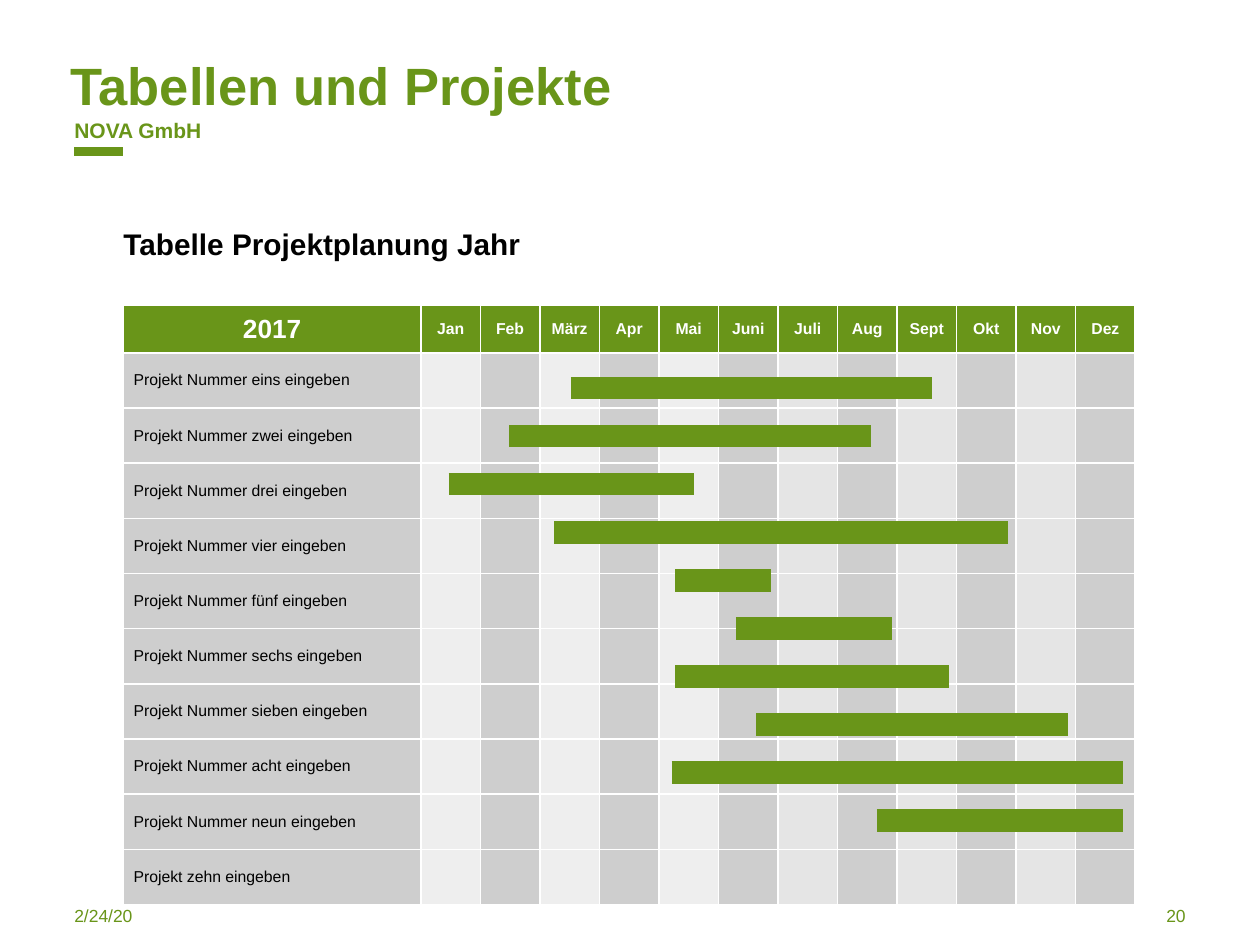
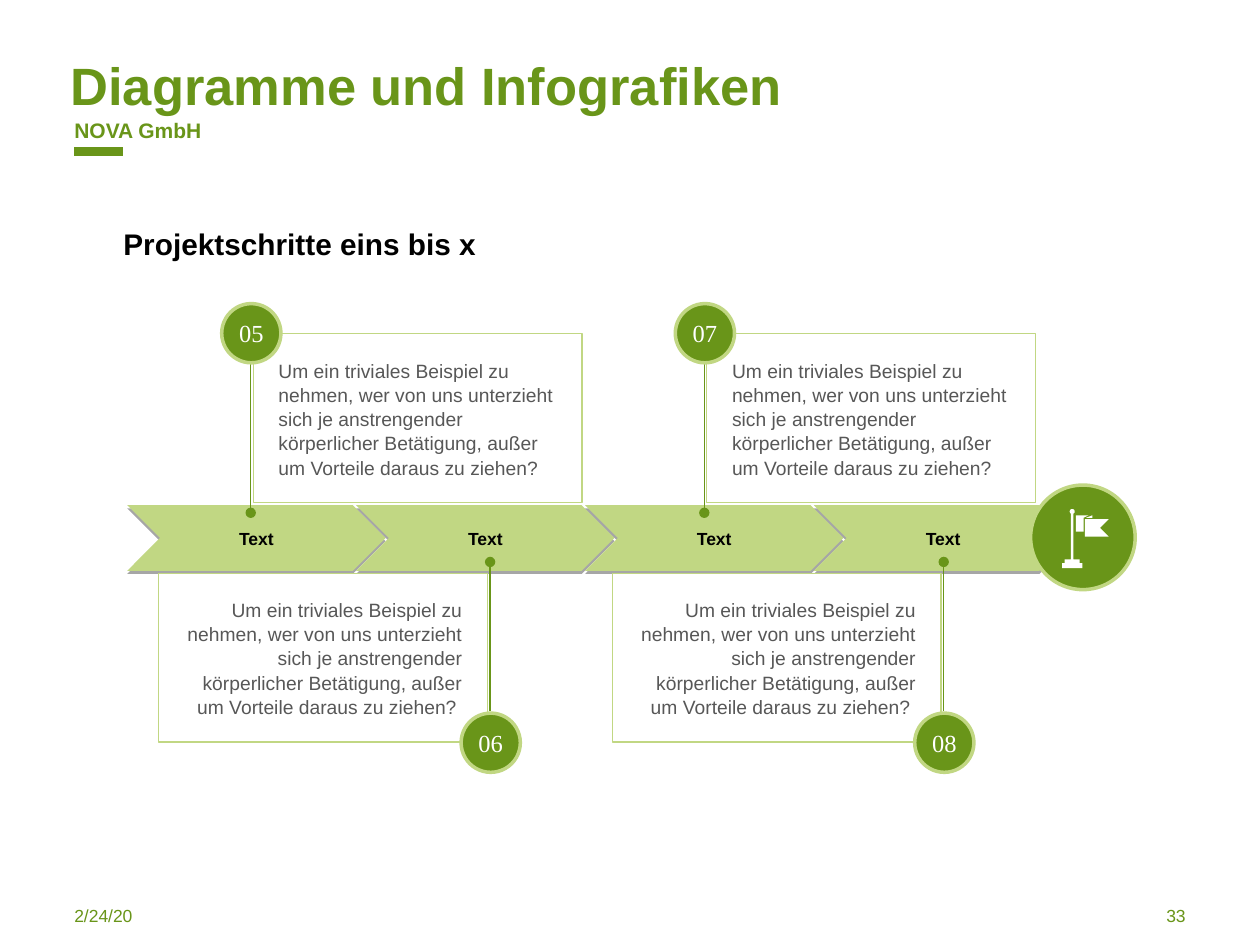
"""Build two project slides: a yearly Gantt table and a step-by-step infographic."""
from dataclasses import dataclass
from math import cos, pi, sin

from lxml.etree import SubElement
from pptx import Presentation
from pptx.dml.color import RGBColor
from pptx.enum.shapes import MSO_CONNECTOR, MSO_SHAPE
from pptx.enum.text import MSO_ANCHOR as Anchor, MSO_AUTO_SIZE, PP_ALIGN as Align
from pptx.oxml.ns import qn
from pptx.util import Inches, Pt


@dataclass(frozen=True)
class Theme:
    green: str = "699519"
    light_green: str = "C1D783"
    white: str = "FFFFFF"
    black: str = "000000"
    body: str = "575757"
    band_dark: str = "CECECE"
    band_light: str = "EEEEEE"
    band_mid: str = "E5E5E5"
    font: str = "Arial"
    number_font: str = "Times New Roman"
    title_size: float = 30
    heading_size: float = 17
    year_size: float = 15
    number_size: float = 14
    brand_size: float = 12
    body_size: float = 11
    small_size: float = 10
    table_size: float = 9


@dataclass(frozen=True)
class Bar:
    start: float
    end: float


@dataclass(frozen=True)
class Step:
    number: str
    x: float
    upper: bool


T = Theme()
MONTHS = "Jan Feb März Apr Mai Juni Juli Aug Sept Okt Nov Dez".split()
PROJECTS = [f"Projekt Nummer {n} eingeben" for n in
            "eins zwei drei vier fünf sechs sieben acht neun".split()] + ["Projekt zehn eingeben"]
BARS = [Bar(4.53, 7.4), Bar(4.04, 6.91), Bar(3.56, 5.51), Bar(4.4, 8), Bar(5.36, 6.12),
        Bar(5.84, 7.08), Bar(5.36, 7.53), Bar(6, 8.48), Bar(5.33, 8.91), Bar(6.96, 8.91)]
STEPS = [Step("05", 1.99, True), Step("06", 3.89, False),
         Step("07", 5.59, True), Step("08", 7.49, False)]
STEP_TEXT = ("Um ein triviales Beispiel zu nehmen, wer von uns unterzieht sich je "
             "anstrengender körperlicher Betätigung, außer um Vorteile daraus zu ziehen?")
POLE = [(8.57, 4.47), (8.59, 4.47), (8.59, 4.51), (8.43, 4.51), (8.43, 4.47), (8.45, 4.47),
        (8.45, 4.44), (8.5, 4.44), (8.5, 4.08), (8.52, 4.08), (8.52, 4.44), (8.57, 4.44)]
KNOB = [(8.51 + 0.02 * cos(i * pi / 8), 4.06 + 0.02 * sin(i * pi / 8)) for i in range(16)]
FLAG_BACK = [(8.54, 4.09), (8.54, 4.22), (8.6, 4.22), (8.6, 4.11), (8.64, 4.09)]
FLAG_FRONT = [(8.8, 4.12), (8.61, 4.12), (8.61, 4.26), (8.8, 4.26), (8.73, 4.19)]
FLAG_FOLD = [(8.67, 4.11), (8.67, 4.09), (8.62, 4.11)]


def rgb(color: str) -> RGBColor:
    return RGBColor.from_string(color)


def write(tf, text: str, size: float, color: str, bold: bool = False,
          align=Align.LEFT, font: str = T.font):
    tf.word_wrap = True
    p = tf.paragraphs[0]
    p.text = text
    p.alignment = align
    f = p.font
    f.name, f.size, f.bold = font, Pt(size), bold
    f.color.rgb = rgb(color)
    return p


def set_insets(tf, x: float = 0, y: float = 0) -> None:
    tf.margin_left = tf.margin_right = Inches(x)
    tf.margin_top = tf.margin_bottom = Inches(y)


def add_text(s, box: tuple, text: str, size: float, color: str, bold: bool = False,
             align=Align.LEFT) -> None:
    tf = s.shapes.add_textbox(*map(Inches, box)).text_frame
    set_insets(tf)
    write(tf, text, size, color, bold, align)


def add_line(s, start: tuple, end: tuple, width: float, dot: bool = False) -> None:
    line = s.shapes.add_connector(MSO_CONNECTOR.STRAIGHT, *map(Inches, start + end))
    line.line.color.rgb = rgb(T.green)
    line.line.width = Pt(width)
    sp_pr = line._element.spPr
    if dot:
        SubElement(sp_pr.find(qn("a:ln")), qn("a:tailEnd"), type="oval")
    SubElement(sp_pr, qn("a:effectLst"))


def style(sp, fill: str | None = None, line: str | None = None, width: float = 0) -> None:
    sp.shadow.inherit = False
    if fill:
        sp.fill.solid()
        sp.fill.fore_color.rgb = rgb(fill)
    else:
        sp.fill.background()
    if line:
        sp.line.color.rgb = rgb(line)
        sp.line.width = Pt(width)
    else:
        sp.line.fill.background()


def add_shape(s, kind, box: tuple, fill: str | None = None,
              line: str | None = None, width: float = 0):
    sp = s.shapes.add_shape(kind, *map(Inches, box))
    style(sp, fill, line, width)
    sp.text_frame.vertical_anchor = Anchor.MIDDLE
    return sp


def add_slide(prs, title: str, heading: str, number: str):
    s = prs.slides.add_slide(prs.slide_layouts[5])
    sp = s.shapes.title
    sp.left, sp.top, sp.width, sp.height = map(Inches, (0.56, 0.42, 7.35, 0.5))
    tf = sp.text_frame
    set_insets(tf)
    tf.auto_size = MSO_AUTO_SIZE.NONE
    tf.vertical_anchor = Anchor.TOP
    write(tf, title, T.title_size, T.green, True)
    add_text(s, (0.59, 0.93, 4.41, 0.2), "NOVA GmbH", T.brand_size, T.green, True)
    add_line(s, (0.59, 1.2), (0.98, 1.2), 5)
    add_text(s, (0.98, 1.79, 8.03, 0.29), heading, T.heading_size, T.black, True)
    add_text(s, (0.59, 7.18, 2.24, 0.25), "2/24/20", T.small_size, T.green)
    add_text(s, (7.17, 7.18, 2.24, 0.25), number, T.small_size, T.green, align=Align.RIGHT)
    return s


def format_cell(cell, fill: str) -> None:
    tc_pr = cell._tc.get_or_add_tcPr()
    for side in ("lnL", "lnR", "lnT", "lnB"):
        ln = SubElement(tc_pr, qn(f"a:{side}"), w=str(Pt(0.96)))
        SubElement(SubElement(ln, qn("a:solidFill")), qn("a:srgbClr"), val=T.white)
    cell.fill.solid()
    cell.fill.fore_color.rgb = rgb(fill)
    cell.vertical_anchor = Anchor.MIDDLE
    set_insets(cell, 0.08, 0.05)


def band_color(row: int, col: int) -> str:
    if row == 0:
        return T.green
    if col % 2 == 0:
        return T.band_dark
    return T.band_light if col <= 6 else T.band_mid


def add_plan_table(s) -> None:
    width, height, label_width, header_height = 8.03, 4.76, 2.36, 0.38
    n_rows, n_cols = len(PROJECTS) + 1, len(MONTHS) + 1
    table = s.shapes.add_table(n_rows, n_cols, *map(Inches, (0.98, 2.42, width, height))).table
    for i, col in enumerate(table.columns):
        col.width = Inches((width - label_width) / len(MONTHS) if i else label_width)
    for i, row in enumerate(table.rows):
        row.height = Inches((height - header_height) / len(PROJECTS) if i else header_height)
    for r in range(n_rows):
        for c in range(n_cols):
            format_cell(table.cell(r, c), band_color(r, c))
    for c, text in enumerate(["2017"] + MONTHS):
        write(table.cell(0, c).text_frame, text, T.table_size if c else T.year_size,
              T.white, True, Align.CENTER)
    for r, text in enumerate(PROJECTS, 1):
        write(table.cell(r, 0).text_frame, text, T.table_size, T.black)


def add_chevron(s, left: float) -> None:
    sp = add_shape(s, MSO_SHAPE.CHEVRON, (left, 4.01, 2.05, 0.52), T.light_green)
    write(sp.text_frame, "Text", T.small_size, T.black, True, Align.CENTER)
    shadow = SubElement(sp._element.spPr.find(qn("a:effectLst")), qn("a:outerShdw"),
                        blurRad="0", dist=str(Pt(1.8)), dir="5400000", rotWithShape="0")
    color = SubElement(shadow, qn("a:srgbClr"), val=T.black)
    SubElement(color, qn("a:alpha"), val="35000")


def add_step(s, step: Step) -> None:
    if step.upper:
        left, top, badge_top, stem, dot = step.x + 0.02, 2.65, 2.41, 2.89, 4.07
        text, align = STEP_TEXT, Align.LEFT
    else:
        left, top, badge_top, stem, dot = step.x - 2.63, 4.55, 5.66, 5.64, 4.46
        text, align = STEP_TEXT + " ", Align.RIGHT
    box = add_shape(s, MSO_SHAPE.RECTANGLE, (left, top, 2.61, 1.34), line=T.light_green)
    set_insets(box.text_frame, 0.2, 0.24)
    write(box.text_frame, text, T.body_size, T.body, align=align).line_spacing = 1.05
    add_line(s, (step.x, stem), (step.x, dot), 0.75, dot=True)
    badge = add_shape(s, MSO_SHAPE.OVAL, (step.x - 0.23, badge_top, 0.47, 0.47),
                      T.green, T.light_green, 2)
    set_insets(badge.text_frame)
    write(badge.text_frame, step.number, T.number_size, T.white,
          align=Align.CENTER, font=T.number_font)


def add_flag(s) -> None:
    add_shape(s, MSO_SHAPE.OVAL, (8.18, 3.85, 0.83, 0.83), T.green, T.light_green, 2)
    outlines = [[(Inches(x), Inches(y)) for x, y in outline]
                for outline in (POLE, KNOB, FLAG_BACK, FLAG_FRONT, FLAG_FOLD)]
    builder = s.shapes.build_freeform(*outlines[0][0])
    builder.add_line_segments(outlines[0][1:])
    for outline in outlines[1:]:
        builder.move_to(*outline[0])
        builder.add_line_segments(outline[1:])
    style(builder.convert_to_shape(), T.white)


def main() -> None:
    prs = Presentation()
    prs.slide_width, prs.slide_height = Inches(10), Inches(7.5)

    s = add_slide(prs, "Tabellen und Projekte", "Tabelle Projektplanung Jahr", "20")
    add_plan_table(s)
    for i, bar in enumerate(BARS):
        y = 3.08 + i * 3.43 / 9
        add_line(s, (bar.start, y), (bar.end, y), 13)

    s = add_slide(prs, "Diagramme und Infografiken", "Projektschritte eins bis x", "33")
    for i in range(4):
        add_chevron(s, 1.01 + i * 5.45 / 3)
    for step in STEPS:
        add_step(s, step)
    add_flag(s)

    prs.save("out.pptx")


if __name__ == "__main__":
    main()
